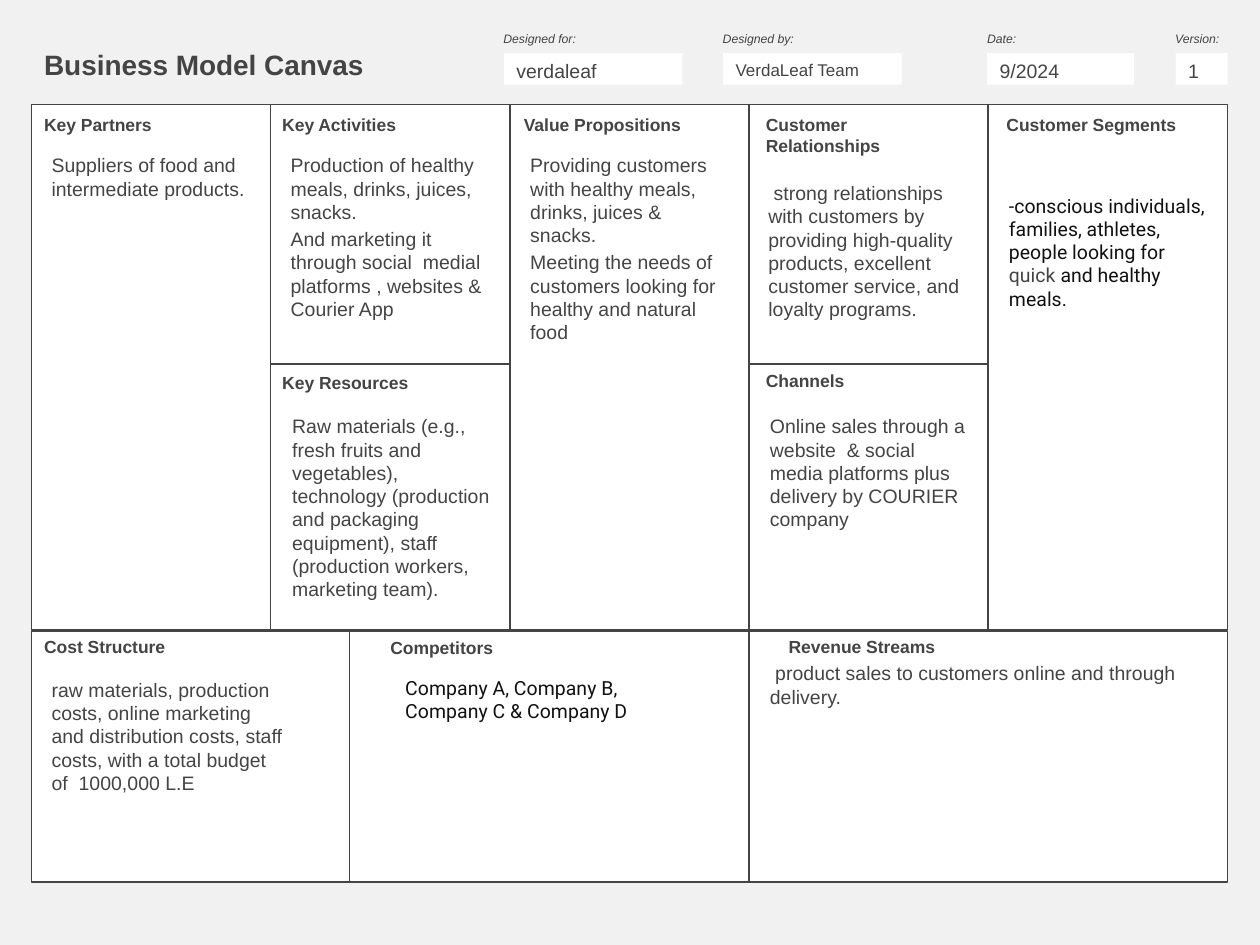
from pptx import Presentation
from pptx.dml.color import RGBColor
from pptx.enum.shapes import MSO_SHAPE as Kind
from pptx.enum.text import MSO_ANCHOR as Anchor, PP_ALIGN as Align
from pptx.util import Cm, Pt

GREY = RGBColor(0x44, 0x44, 0x44)
BLACK = RGBColor(0x11, 0x11, 0x11)
WHITE = RGBColor(0xFF, 0xFF, 0xFF)
PAPER = RGBColor(0xF1, 0xF1, 0xF1)

LEFT, COL = 0.64, 4.82
TOP, MID, LOW, END = 2.11, 7.34, 12.7, 17.78
SPLIT = 7.04
HEAD_W, BODY_W = 4.4, 4.5

TITLE = {"size": Pt(16), "bold": True, "name": "Arial"}
LABEL = {"size": Pt(7), "italic": True, "name": "Arial"}
HEAD = {"size": Pt(10), "bold": True, "name": "Arial"}
BODY = {"size": Pt(11.1), "name": "Arial"}
SMALL = {"size": Pt(9.7), "name": "Arial"}
ROBOTO = {"size": Pt(11.1), "name": "Roboto"}

# label, its left, value, left and width of the field, format
FIELDS = [
    ("Designed for:", 9.9, "verdaleaf", 10.16, 3.6, BODY),
    ("Designed by:", 14.32, "VerdaLeaf Team", 14.58, 3.6, SMALL),
    ("Date:", 19.65, "9/2024", 19.9, 2.96, BODY),
    ("Version:", 23.44, "1", 23.7, 1.05, BODY),
]

# first column, column count, top, bottom
CELLS = [
    (0, 1, TOP, LOW), (1, 1, TOP, MID), (1, 1, MID, LOW),
    (2, 1, TOP, LOW), (3, 1, TOP, MID), (3, 1, MID, LOW),
    (4, 1, TOP, LOW),
]

# heading, left, top
HEADS = [
    ("Key Partners", 0.64, 2.18),
    ("Key Activities", 5.44, 2.18),
    ("Value Propositions", 10.31, 2.18),
    ("Customer Relationships", 15.19, 2.18),
    ("Customer Segments", 20.04, 2.18),
    ("Key Resources", 5.44, 7.37),
    ("Channels", 15.19, 7.34),
    ("Cost Structure", 0.64, 12.7),
    ("Competitors", 7.62, 12.72),
    ("Revenue Streams", 15.65, 12.7),
]

# left, top, width, height, format, paragraphs of (text, colour) runs
NOTES = [
    (0.79, 2.97, BODY_W, 9.53, BODY,
     [[("Suppliers of food and intermediate products.", GREY)]]),
    (5.61, 2.97, BODY_W, 4.24, BODY,
     [[("Production of healthy meals, drinks, juices, snacks.", GREY)],
      [("And marketing it through social  medial platforms , websites & "
        "Courier App", GREY)]]),
    (10.44, 2.97, BODY_W, 9.53, BODY,
     [[("Providing customers with healthy meals, drinks, juices & snacks.",
        GREY)],
      [("Meeting the needs of customers looking for healthy and natural food",
        GREY)]]),
    (15.24, 3.53, BODY_W, 3.73, BODY,
     [[(" strong relationships with customers by providing high-quality "
        "products, excellent customer service, and loyalty programs.", GREY)]]),
    (20.09, 3.78, BODY_W, 8.48, ROBOTO,
     [[("-conscious individuals, families, athletes, people looking for ",
        BLACK), ("quick ", GREY), ("and healthy meals.", BLACK)]]),
    (5.64, 8.23, BODY_W, 4.24, BODY,
     [[("Raw materials (e.g., fresh fruits and vegetables), technology "
        "(production and packaging equipment), staff (production workers, "
        "marketing team).", GREY)]]),
    (15.27, 8.23, BODY_W, 4.24, BODY,
     [[("Online sales through a website  & social media platforms plus "
        "delivery by COURIER company", GREY)]]),
    (0.79, 13.54, 5.2, 4.01, BODY,
     [[("raw materials, production costs, online marketing and distribution "
        "costs, staff costs, with a total budget of  1000,000 L.E", GREY)]]),
    (15.27, 13.21, 8.97, 3.73, BODY,
     [[(" product sales to customers online and through delivery.", GREY)]]),
    (7.92, 13.51, 5.26, 4.01, ROBOTO,
     [[("Company A, Company B, Company C & Company D", BLACK)]]),
]


def style(run, form, colour):
    for key, value in form.items():
        setattr(run.font, key, value)
    run.font.color.rgb = colour


def add_rect(slide, x, y, w, h, fill=None, line=None):
    rect = slide.shapes.add_shape(Kind.RECTANGLE, Cm(x), Cm(y), Cm(w), Cm(h))
    rect.shadow.inherit = False
    if fill is None:
        rect.fill.background()
    else:
        rect.fill.solid()
        rect.fill.fore_color.rgb = fill
    if line is None:
        rect.line.fill.background()
    else:
        rect.line.color.rgb = line
        rect.line.width = Pt(0.75)
    return rect


def add_text(slide, text, x, y, w, h, form):
    frame = slide.shapes.add_textbox(Cm(x), Cm(y), Cm(w), Cm(h)).text_frame
    frame.word_wrap = True
    run = frame.paragraphs[0].add_run()
    run.text = text
    style(run, form, GREY)


def add_note(slide, x, y, w, h, form, paras):
    """Add a white box whose lines have a fixed pitch."""
    frame = add_rect(slide, x, y, w, h, WHITE).text_frame
    frame.word_wrap = True
    frame.vertical_anchor = Anchor.TOP
    for i, runs in enumerate(paras):
        para = frame.add_paragraph() if i else frame.paragraphs[0]
        para.alignment = Align.LEFT
        para.line_spacing = Pt(round(form["size"].pt * 1.2, 1))
        if i:
            para.space_before = Pt(2.2)
        for text, colour in runs:
            run = para.add_run()
            run.text = text
            style(run, form, colour)


def main():
    deck = Presentation()
    deck.slide_width, deck.slide_height = Cm(25.4), Cm(19.05)
    slide = deck.slides.add_slide(deck.slide_layouts[6])
    slide.background.fill.solid()
    slide.background.fill.fore_color.rgb = PAPER

    add_rect(slide, LEFT, TOP, 5 * COL, END - TOP, WHITE, WHITE)
    add_text(slide, "Business Model Canvas", LEFT, 0.84, 8.03, 0.94, TITLE)
    for text, x, y in HEADS:
        add_text(slide, text, x, y, HEAD_W, 0.69, HEAD)

    for col, count, top, end in CELLS:
        add_rect(slide, LEFT + col * COL, top, count * COL, end - top,
                 line=GREY)
    for x, end in ((LEFT, LEFT + 3 * COL), (SPLIT, LEFT + 5 * COL)):
        add_rect(slide, x, LOW + 0.03, end - x, END - LOW - 0.03, line=GREY)

    for note in NOTES:
        add_note(slide, *note)
    for label, left, value, x, w, form in FIELDS:
        add_text(slide, label, left, 0.51, min(w, 1.6) + 0.8, 0.56, LABEL)
        add_note(slide, x, 1.07, w, 0.64, form, [[(value, GREY)]])

    deck.save("out.pptx")


if __name__ == "__main__":
    main()
